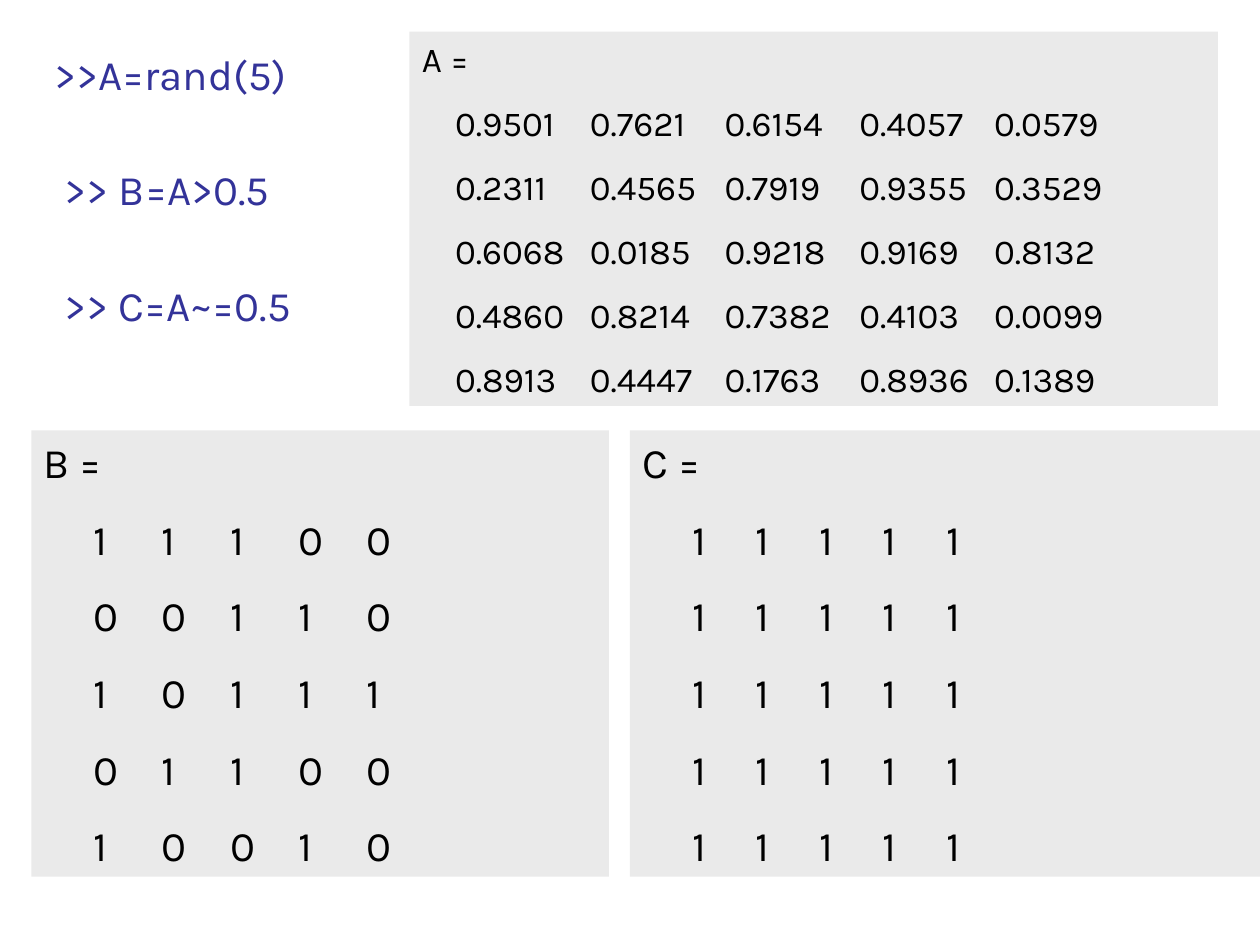
from lxml import etree
from pptx import Presentation
from pptx import util as u
from pptx.dml.color import RGBColor
from pptx.enum import shapes, text
from pptx.oxml.ns import qn

MATRIX_A = """0.9501 0.7621 0.6154 0.4057 0.0579
0.2311 0.4565 0.7919 0.9355 0.3529
0.6068 0.0185 0.9218 0.9169 0.8132
0.4860 0.8214 0.7382 0.4103 0.0099
0.8913 0.4447 0.1763 0.8936 0.1389"""

MATRIX_B = """1 1 1 0 0
0 0 1 1 0
1 0 1 1 1
0 1 1 0 0
1 0 0 1 0"""

MATRIX_C = "\n".join(["1 1 1 1 1"] * 5)


def color(value):
    return RGBColor.from_string(value)


class Page:
    FONT = "Karla"
    INK = "000000"
    COMMAND = "333399"
    PANEL = "EAEAEA"
    FRAME = {"word_wrap": True, "vertical_anchor": text.MSO_ANCHOR.TOP,
             "auto_size": text.MSO_AUTO_SIZE.SHAPE_TO_FIT_TEXT}

    def __init__(self, deck):
        self.slide = deck.slides.add_slide(deck.slide_layouts[6])

    def fill_text(self, box, lines, size, ink, stops=()):
        frame = box.text_frame
        for name, value in self.FRAME.items():
            setattr(frame, name, value)
        for index, line in enumerate(lines):
            para = frame.paragraphs[0] if index == 0 else frame.add_paragraph()
            para.alignment = text.PP_ALIGN.LEFT
            para.space_before = u.Pt(size * 0.625)
            span = para.add_run()
            span.text = line
            for name, value in {"name": self.FONT, "size": u.Pt(size)}.items():
                setattr(span.font, name, value)
            span.font.color.rgb = color(ink)
            if "\t" in line:
                self.set_tabs(para, stops)

    def set_tabs(self, para, stops):
        tabs = etree.SubElement(para._p.get_or_add_pPr(), qn("a:tabLst"))
        for stop in stops:
            etree.SubElement(tabs, qn("a:tab"), pos=str(int(u.Pt(stop))), algn="l")

    def command(self, line, left, top, width):
        box = self.slide.shapes.add_textbox(
            u.Pt(left), u.Pt(top), u.Pt(width), u.Pt(36))
        self.fill_text(box, [line], 24, self.COMMAND)

    def matrix(self, name, values, bounds, size, first, step):
        """Panel with a matrix whose columns start at first, step apart."""
        box = self.slide.shapes.add_shape(
            shapes.MSO_SHAPE.RECTANGLE, *(u.Pt(length) for length in bounds))
        box.shadow.inherit = False
        box.fill.solid()
        box.fill.fore_color.rgb = color(self.PANEL)
        box.line.fill.background()
        rows = ["\t" + "\t".join(row.split()) for row in values.splitlines()]
        stops = [first + step * column for column in range(5)]
        self.fill_text(box, [f"{name} =", *rows], size, self.INK, stops)


def main():
    deck = Presentation()
    deck.slide_width, deck.slide_height = u.Pt(720), u.Pt(540)
    page = Page(deck)
    page.matrix("B", MATRIX_B, (18, 246, 330, 255), 24, 28.5, 39)
    page.matrix("C", MATRIX_C, (360, 246, 360, 255), 24, 28.5, 36.3)
    page.matrix("A", MATRIX_A, (234, 18, 462, 214), 20, 19, 77)
    page.command(">>A=rand(5)", 24, 24, 204)
    page.command(">> B=A>0.5", 30, 90, 162)
    page.command(">> C=A~=0.5", 30, 156, 186)
    deck.save("out.pptx")


if __name__ == "__main__":
    main()
